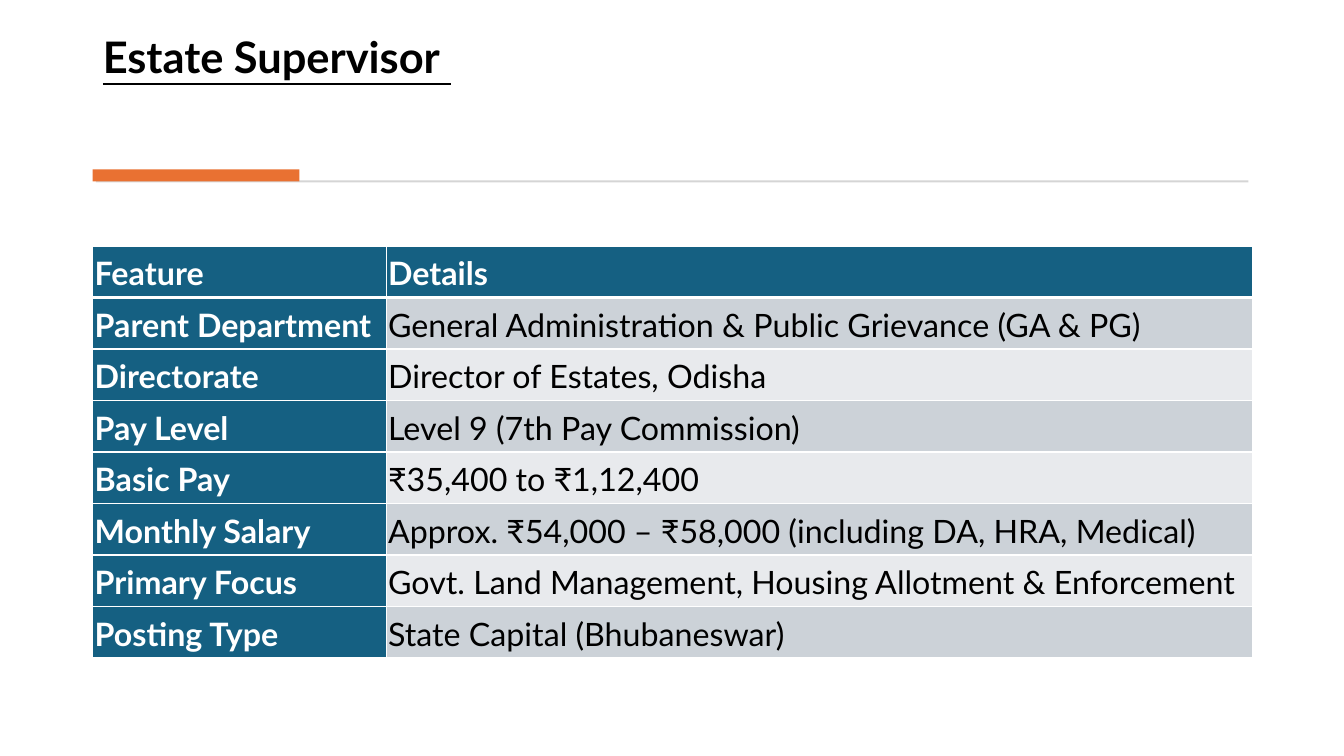
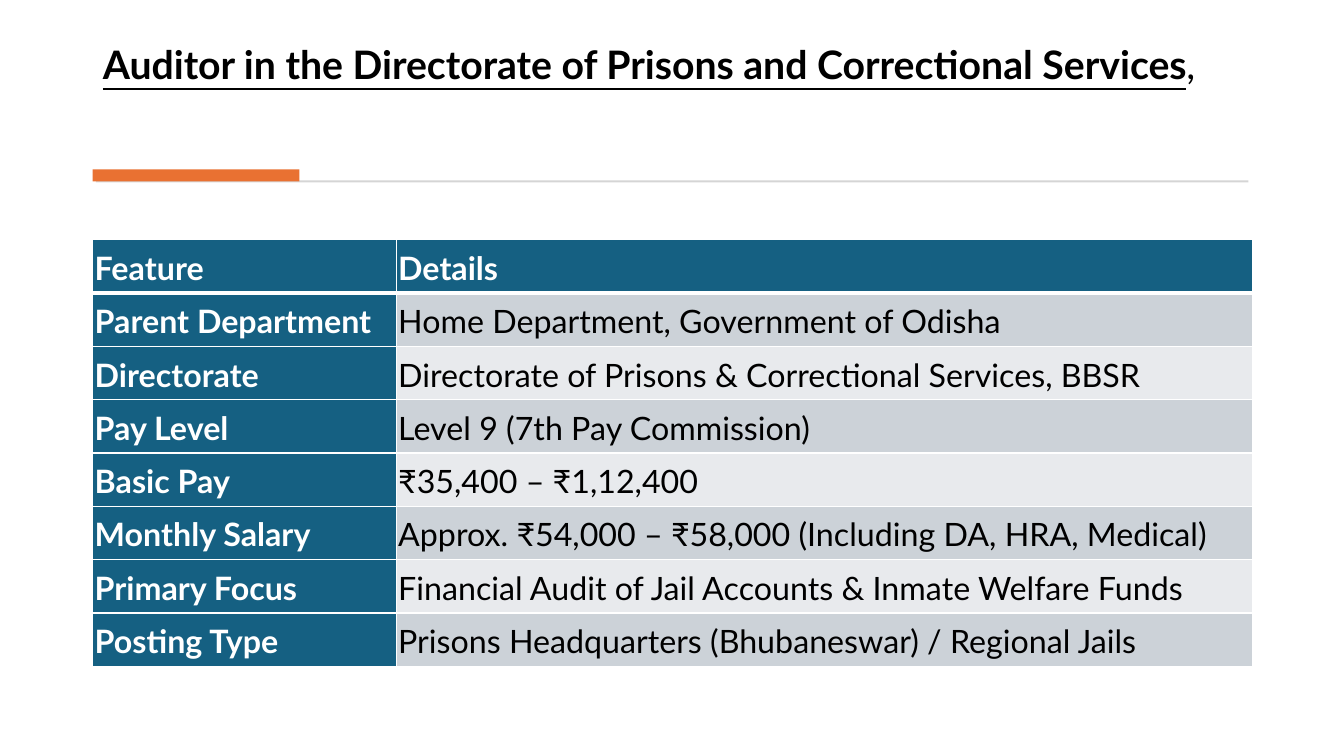
from dataclasses import dataclass

from lxml import etree
from pptx import Presentation
from pptx.dml.color import RGBColor
from pptx.enum.shapes import MSO_SHAPE
from pptx.enum.text import MSO_ANCHOR, MSO_AUTO_SIZE, PP_ALIGN
from pptx.oxml.ns import qn
from pptx.util import Inches, Pt

RECTANGLE = MSO_SHAPE.RECTANGLE
BOTTOM, MIDDLE = MSO_ANCHOR.BOTTOM, MSO_ANCHOR.MIDDLE
LEFT = PP_ALIGN.LEFT
NO_FIT = MSO_AUTO_SIZE.NONE


@dataclass(frozen=True)
class Theme:
    """Colours, font and type sizes of the deck."""

    font: str = "Lato"
    ink: str = "000000"
    paper: str = "FFFFFF"
    header: str = "156082"
    bands: tuple = ("CCD2D8", "E8EAED")
    rule: str = "D5D5D5"
    accent: str = "E97132"
    table_size: int = 23
    thin: int = 1
    thick: int = 3


FEATURES = ("Feature", "Parent Department", "Directorate", "Pay Level", "Basic Pay",
            "Monthly Salary", "Primary Focus", "Posting Type")

POSTS = (
    {
        "title": (("Estate Supervisor", {"bold": True, "underline": True}),
                  (" ", {"bold": False, "underline": True})),
        "title_size": 31,
        "title_inset": 0.57,
        "table_area": (6.9, 32.53, 86.27, 54.53),
        "feature_width": 21.83,
        "details": (
            "Details",
            "General Administration & Public Grievance (GA & PG)",
            "Director of Estates, Odisha",
            "Level 9 (7th Pay Commission)",
            "₹35,400 to ₹1,12,400",
            "Approx. ₹54,000 – ₹58,000 (including DA, HRA, Medical)",
            "Govt. Land Management, Housing Allotment & Enforcement",
            "State Capital (Bhubaneswar)",
        ),
    },
    {
        "title": (("Auditor in the Directorate of Prisons and Correctional Services",
                   {"bold": True, "underline": True}),
                  (",", {"bold": False, "underline": False})),
        "title_size": 28,
        "title_inset": 0.52,
        "table_area": (6.9, 31.73, 86.27, 56.4),
        "feature_width": 22.58,
        "details": (
            "Details",
            "Home Department, Government of Odisha",
            "Directorate of Prisons & Correctional Services, BBSR",
            "Level 9 (7th Pay Commission)",
            "₹35,400 – ₹1,12,400",
            "Approx. ₹54,000 – ₹58,000 (Including DA, HRA, Medical)",
            "Financial Audit of Jail Accounts & Inmate Welfare Funds",
            "Prisons Headquarters (Bhubaneswar) / Regional Jails",
        ),
    },
)


def set_values(target, values):
    """Set each named attribute of the target."""
    for name, value in values.items():
        setattr(target, name, value)


class DeckBuilder:
    """Draws slide elements in one style, with lengths in percent of the slide."""

    def __init__(self, theme):
        """Start a widescreen deck."""
        self.theme = theme
        self.deck = Presentation()
        self.deck.slide_width, self.deck.slide_height = Inches(13.33), Inches(7.5)
        self.page = None

    def across(self, percent):
        """Turn a share of the slide width into a length."""
        return round(self.deck.slide_width * percent / 100)

    def down(self, percent):
        """Turn a share of the slide height into a length."""
        return round(self.deck.slide_height * percent / 100)

    def area(self, left, top, width, height):
        """Turn four shares into a position and size."""
        return self.across(left), self.down(top), self.across(width), self.down(height)

    def add_page(self):
        """Start a slide that has only a title placeholder."""
        self.page = self.deck.slides.add_slide(self.deck.slide_layouts[5])

    def add_span(self, para, text, color, size, **values):
        """Add one formatted span to a paragraph."""
        span = para.add_run()
        span.text = text
        set_values(span.font, {"name": self.theme.font, "size": Pt(size), **values})
        span.font.color.rgb = RGBColor.from_string(color)

    def title(self, spans, size, inset):
        """Fill the title placeholder."""
        box = self.page.shapes.title
        box.left, box.top, box.width, box.height = self.area(6.9, 3.73, 86.2, 14.8)
        set_values(box.text_frame, {"vertical_anchor": BOTTOM, "auto_size": NO_FIT,
                                    "word_wrap": True, "margin_bottom": Inches(inset)})
        para = box.text_frame.paragraphs[0]
        set_values(para, {"alignment": LEFT, "line_spacing": 0.9, "space_before": Pt(0)})
        for text, values in spans:
            self.add_span(para, text, self.theme.ink, size, **values)

    def bar(self, color, *shares):
        """Draw a plain filled rectangle."""
        box = self.page.shapes.add_shape(RECTANGLE, *self.area(*shares))
        box.shadow.inherit = False
        box.fill.solid()
        box.fill.fore_color.rgb = RGBColor.from_string(color)
        box.line.fill.background()

    def divider(self):
        """Draw the thin rule with its accent bar."""
        self.bar(self.theme.rule, 7.13, 23.87, 85.75, 0.27)
        self.bar(self.theme.accent, 6.9, 22.4, 15.38, 1.6)

    def borders(self, cell, row_index):
        """Outline a cell, with a heavier line under the header row."""
        properties = cell._tc.get_or_add_tcPr()
        heavy_side = {0: "lnB", 1: "lnT"}.get(row_index)
        for side in ("lnL", "lnR", "lnT", "lnB"):
            width = self.theme.thick if side == heavy_side else self.theme.thin
            line = etree.SubElement(properties, qn(f"a:{side}"), w=str(Pt(width)))
            fill = etree.SubElement(line, qn("a:solidFill"))
            etree.SubElement(fill, qn("a:srgbClr"), val=self.theme.paper)

    def cell(self, cell, text, row_index, is_header):
        """Format and fill one table cell."""
        theme = self.theme
        self.borders(cell, row_index)
        cell.fill.solid()
        fill = theme.header if is_header else theme.bands[(row_index - 1) % 2]
        cell.fill.fore_color.rgb = RGBColor.from_string(fill)
        sides = ("left", "right", "top", "bottom")
        set_values(cell, {f"margin_{side}": Inches(0.02) for side in sides})
        cell.vertical_anchor = MIDDLE
        para = cell.text_frame.paragraphs[0]
        set_values(para, {"line_spacing": 1.07, "space_after": Pt(8)})
        color = theme.paper if is_header else theme.ink
        self.add_span(para, text, color, theme.table_size, bold=is_header)

    def table(self, rows, shares, feature_width):
        """Draw a table with a header row and a header column."""
        place = self.area(*shares)
        table = self.page.shapes.add_table(len(rows), 2, *place).table
        set_values(table, {"first_row": True, "first_col": True, "horz_banding": False})
        table.columns[0].width = self.across(feature_width)
        table.columns[1].width = place[2] - table.columns[0].width
        for row_index, texts in enumerate(rows):
            for column_index, text in enumerate(texts):
                is_header = row_index == 0 or column_index == 0
                self.cell(table.cell(row_index, column_index), text, row_index, is_header)


def main():
    """Build one slide for each post and save the deck."""
    builder = DeckBuilder(Theme())
    for post in POSTS:
        builder.add_page()
        builder.title(post["title"], post["title_size"], post["title_inset"])
        builder.divider()
        rows = tuple(zip(FEATURES, post["details"]))
        builder.table(rows, post["table_area"], post["feature_width"])
    builder.deck.save("out.pptx")


if __name__ == "__main__":
    main()
